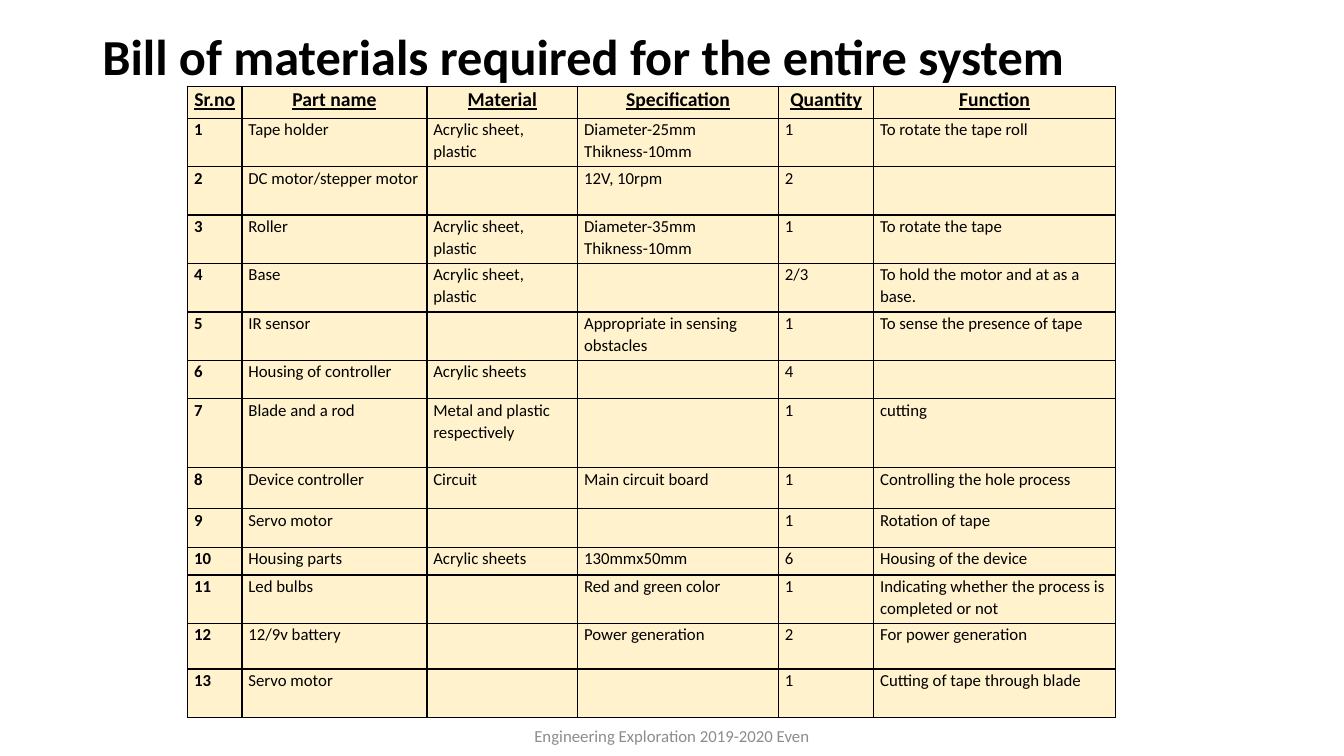
"""Build the bill of materials slide."""
from lxml.etree import SubElement
from pptx import Presentation
from pptx.dml.color import RGBColor
from pptx.enum.text import MSO_ANCHOR, PP_ALIGN
from pptx.oxml.ns import qn
from pptx.util import Cm, Pt

TITLE = "Bill of materials required for the entire system"
FOOTER = "Engineering Exploration 2019-2020 Even"
HEADERS = ["Sr.no", "Part name", "Material", "Specification", "Quantity", "Function"]
PARTS = [
    ("Tape holder", "Acrylic sheet, plastic", "Diameter-25mm\nThikness-10mm", "1", "To rotate the tape roll"),
    ("DC motor/stepper motor", "", "12V, 10rpm", "2", ""),
    ("Roller", "Acrylic sheet, plastic", "Diameter-35mm\nThikness-10mm", "1", "To rotate the tape"),
    ("Base", "Acrylic sheet, plastic", "", "2/3", "To hold the motor and at as a base."),
    ("IR sensor", "", "Appropriate in sensing obstacles", "1", "To sense the presence of tape"),
    ("Housing of controller", "Acrylic sheets", "", "4", ""),
    ("Blade and a rod", "Metal and plastic respectively", "", "1", "cutting"),
    ("Device controller", "Circuit", "Main circuit board", "1", "Controlling the hole process"),
    ("Servo motor", "", "", "1", "Rotation of tape"),
    ("Housing parts", "Acrylic sheets", "130mmx50mm", "6", "Housing of the device"),
    ("Led bulbs", "", "Red and green color", "1", "Indicating whether the process is completed or not"),
    ("12/9v battery", "", "Power generation", "2", "For power generation"),
    ("Servo motor", "", "", "1", "Cutting of tape through blade"),
]
COL_WIDTHS = [1.37, 4.66, 3.8, 5.06, 2.4, 6.09]
ROW_HEIGHTS = [0.81] + [1.22] * 5 + [0.97, 1.74, 1.03, 0.97, 0.7, 1.22, 1.15, 1.22]

FONT = "Calibri"
BLACK = RGBColor(0x00, 0x00, 0x00)
GRAY = RGBColor(0x8C, 0x8C, 0x8C)
CREAM = RGBColor(0xFF, 0xF2, 0xCC)


def write(tf, text, size=12, color=BLACK, bold=False, underline=False,
          align=PP_ALIGN.LEFT, spacing=1.0):
    for i, line in enumerate(text.split("\n")):
        p = tf.add_paragraph() if i else tf.paragraphs[0]
        p.alignment = align
        p.line_spacing = spacing
        r = p.add_run()
        r.text = line
        r.font.name = FONT
        r.font.size = Pt(size)
        r.font.bold = bold
        r.font.underline = underline
        r.font.color.rgb = color


def add_text(s, text, left, top, width, height, **style):
    tf = s.shapes.add_textbox(Cm(left), Cm(top), Cm(width), Cm(height)).text_frame
    tf.word_wrap = True
    tf.vertical_anchor = MSO_ANCHOR.MIDDLE
    write(tf, text, **style)


def format_cell(cell):
    cell.margin_left = cell.margin_right = Cm(0.16)
    cell.margin_top = cell.margin_bottom = 0
    tc_pr = cell._tc.get_or_add_tcPr()
    for side in ("a:lnL", "a:lnR", "a:lnT", "a:lnB"):
        ln = SubElement(tc_pr, qn(side), w=str(Pt(1)))
        fill = SubElement(ln, qn("a:solidFill"))
        SubElement(fill, qn("a:srgbClr"), val=str(BLACK))
    cell.fill.solid()
    cell.fill.fore_color.rgb = CREAM


def add_parts_table(s):
    rows = [HEADERS] + [(str(n), *part) for n, part in enumerate(PARTS, 1)]
    table = s.shapes.add_table(len(rows), len(HEADERS), Cm(4.73), Cm(2.17),
                               Cm(sum(COL_WIDTHS)), Cm(sum(ROW_HEIGHTS))).table
    table.horz_banding = False
    for col, width in zip(table.columns, COL_WIDTHS):
        col.width = Cm(width)
    for i, (row, height) in enumerate(zip(rows, ROW_HEIGHTS)):
        table.rows[i].height = Cm(height)
        for j, text in enumerate(row):
            cell = table.cell(i, j)
            format_cell(cell)
            header = i == 0
            if text:
                write(cell.text_frame, text, size=14 if header else 12,
                      bold=header or j == 0, underline=header, spacing=1.07,
                      align=PP_ALIGN.CENTER if header else PP_ALIGN.LEFT)


def main():
    prs = Presentation()
    prs.slide_width, prs.slide_height = Cm(33.87), Cm(19.05)
    s = prs.slides.add_slide(prs.slide_layouts[6])
    add_text(s, TITLE, 2.33, 0, 29.21, 2.96, size=36, bold=True, spacing=0.9)
    add_text(s, FOOTER, 11.22, 18.03, 11.43, 1.01, color=GRAY, align=PP_ALIGN.CENTER)
    add_parts_table(s)
    prs.save("out.pptx")


if __name__ == "__main__":
    main()
